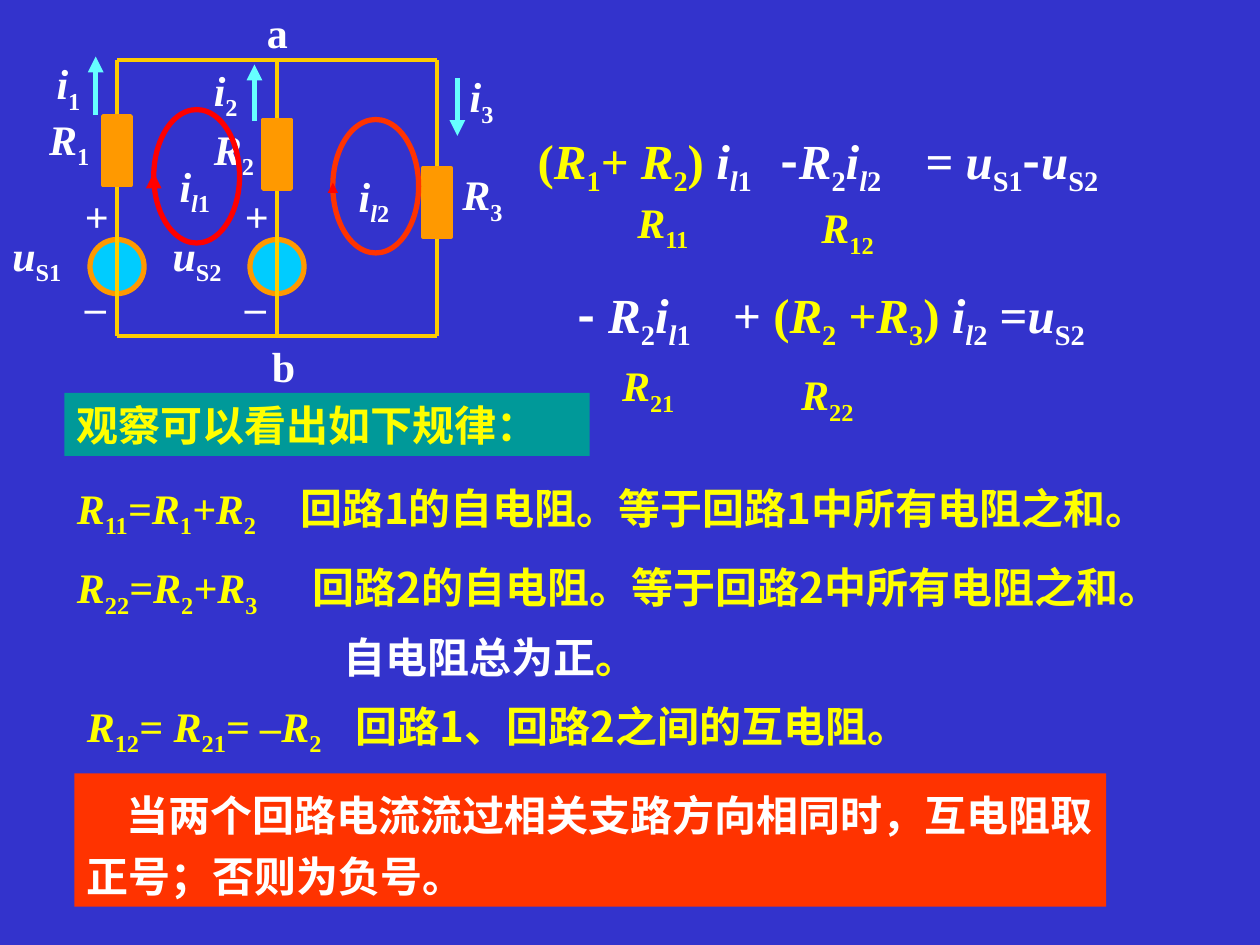
from lxml.etree import SubElement
from pptx import Presentation
from pptx.dml.color import RGBColor
from pptx.enum.shapes import MSO_CONNECTOR as CONN, MSO_SHAPE as SHAPE
from pptx.enum.text import MSO_ANCHOR as ANCHOR, PP_ALIGN as ALIGN
from pptx.oxml.ns import qn
from pptx.util import Cm, Pt

SERIF, CJK = "Times New Roman", "Noto Sans CJK SC"
WHITE, YELLOW, WIRE = "FFFFFF", "FFFF00", "FFCC00"
ORANGE, CYAN, RED = "FF9900", "66FFFF", "FF0000"


def rgb(value):
    return RGBColor.from_string(value)


def write(sp, runs, color=WHITE, size=24, tabs=()):
    """Fill one paragraph; a run is (text, flags, colour), the last two optional.

    Flags: i italic, s subscript, c Chinese font.
    """
    tf = sp.text_frame
    tf.word_wrap = True
    tf.vertical_anchor = ANCHOR.TOP
    p = tf.paragraphs[0]
    p.alignment = ALIGN.LEFT
    if tabs:
        tab_list = SubElement(p._p.get_or_add_pPr(), qn("a:tabLst"))
        for pos in tabs:
            SubElement(tab_list, qn("a:tab"), pos=str(Cm(pos)), algn="l")
    for text, flags, run_color in ((*run, "", None)[:3] if len(run) == 1 else
                                   (*run, None)[:3] for run in runs):
        r = p.add_run()
        r.text = text
        r.font.size, r.font.bold, r.font.italic = Pt(size), True, "i" in flags
        r.font.color.rgb = rgb(run_color or color)
        r.font.name = CJK if "c" in flags else SERIF
        rPr = r._r.get_or_add_rPr()
        SubElement(rPr, qn("a:ea"), typeface=CJK)
        if "s" in flags:
            rPr.set("baseline", "-25000")
    return p


def var(name, sub, color=None):
    return [(name, "i", color), (sub, "s", color)]


def loop_current(sub):
    return [("i", "i"), ("l", "is"), (sub, "s")]


def label(slide, x, y, w, runs, h=1.42, **style):
    box = slide.shapes.add_textbox(Cm(x), Cm(y), Cm(w), Cm(h))
    return write(box, runs, **style)


def shape(slide, kind, x, y, w, h, fill=None, line=None, width=3):
    sp = slide.shapes.add_shape(kind, Cm(x), Cm(y), Cm(w), Cm(h))
    sp.shadow.inherit = False
    if fill:
        sp.fill.solid()
        sp.fill.fore_color.rgb = rgb(fill)
    else:
        sp.fill.background()
    if line:
        sp.line.color.rgb = rgb(line)
        sp.line.width = Pt(width)
    else:
        sp.line.fill.background()
    return sp


def line(slide, x1, y1, x2, y2, color=WIRE, width=2.25, arrow=False):
    c = slide.shapes.add_connector(CONN.STRAIGHT, Cm(x1), Cm(y1), Cm(x2), Cm(y2))
    c.line.color.rgb = rgb(color)
    c.line.width = Pt(width)
    if arrow:
        SubElement(c.line._get_or_add_ln(), qn("a:tailEnd"), type="triangle")
    SubElement(c._element.spPr, qn("a:effectLst"))


def source(slide, x, y, sub, label_x, label_w):
    """Voltage source centred on x, with its signs and its name."""
    d = 1.09
    shape(slide, SHAPE.OVAL, x - d / 2, y, d, d, "00CCFF", ORANGE)
    label(slide, label_x, y - 0.33, label_w, var("u", sub))
    for sign, dy in (("+", -1.12), ("–", 0.7)):
        label(slide, x - 0.9, y + dy, 1.04, [(sign,)], h=1.27)


def branch(slide, x, top, bottom, resistor_y):
    w = 0.56
    line(slide, x, bottom, x, top)
    shape(slide, SHAPE.RECTANGLE, x - w / 2, resistor_y, w, 1.4, ORANGE, ORANGE, 2.25)


def mesh(slide, x, y, sub, color, arrow_width):
    shape(slide, SHAPE.OVAL, x, y, 1.73, 2.69, line=color)
    label(slide, x + 0.27, y + 0.9, 1.24, loop_current(sub))
    line(slide, x, y + 1.4, x, y + 1.27, RED, arrow_width, arrow=True)


def circuit(slide, x, y):
    left, middle, right = (x + 2.36 + 3.225 * i for i in range(3))
    top, bottom = y + 1.21, y + 6.77
    source(slide, left, y + 4.83, "S1", x, 1.98)
    source(slide, middle, y + 4.83, "S2", x + 3.23, 2.39)
    for col, resistor_y in ((left, 2.34), (middle, 2.41), (right, 3.38)):
        branch(slide, col, top, bottom, y + resistor_y)
    line(slide, left, bottom, right, bottom)
    line(slide, left, top, right, top)

    for ax, start, end in ((1.93, 2.31, 1.14), (5.13, 2.44, 1.3), (9.22, 1.57, 2.74)):
        line(slide, x + ax, y + start, x + ax, y + end, CYAN, 3, arrow=True)
    for name, sub, lx, ly in (("i", "1", 0.89, 1.04), ("i", "2", 4.06, 1.17),
                              ("i", "3", 9.22, 1.3), ("R", "1", 0.74, 2.16),
                              ("R", "2", 4.06, 2.36), ("R", "3", 9.07, 3.28)):
        label(slide, x + lx, y + ly, 1.78, var(name, sub))
    for node, lx, ly in (("a", 5.13, 0), ("b", 5.23, 6.73)):
        label(slide, x + lx, y + ly, 0.97, [(node,)], h=1.27)

    mesh(slide, x + 3.1, y + 2.21, "1", RED, 3)
    mesh(slide, x + 6.71, y + 2.41, "2", "FF3300", 0.75)


def resistance_sum(first, plus, second):
    return [("(", "", YELLOW), *var("R", first, YELLOW), (plus, "", YELLOW),
            *var("R", second, YELLOW), (") ", "", YELLOW)]


def equations(slide, x, y):
    loop1 = [*resistance_sum("1", "+ ", "2"), *loop_current("1"), ("\t",),
             ("-", "c"), *var("R", "2"), *loop_current("2"), ("\t",),
             ("= ",), *var("u", "S1"), ("-", "c"), *var("u", "S2")]
    loop2 = [("-", "c"), (" ",), *var("R", "2"), *loop_current("1"), ("\t",),
             ("+ ",), *resistance_sum("2", " +", "3"), *loop_current("2"),
             (" =",), *var("u", "S2")]
    label(slide, x, y, 14.81, loop1, h=1.6, size=28, tabs=(4.9, 7.82))
    label(slide, x + 0.81, y + 3.1, 14, loop2, h=1.6, size=28, tabs=(3.13,))
    for sub, lx, ly in (("11", 2.01, 1.32), ("12", 5.72, 1.43),
                        ("21", 1.7, 4.62), ("22", 5.31, 4.8)):
        label(slide, x + lx, y + ly, 2.39, var("R", sub), color=YELLOW)


def rules(slide, x, y):
    heading = shape(slide, SHAPE.RECTANGLE, x, y, 10.59, 1.27, "009999")
    write(heading, [("观察可以看出如下规律：", "c")], YELLOW)

    r11 = [*var("R", "11"), ("=", "i"), *var("R", "1"), ("+", "i"), *var("R", "2")]
    r22 = [*var("R", "22"), ("=", "i"), *var("R", "2"), ("+", "i"), *var("R", "3")]
    r12 = [*var("R", "12"), ("= ", "i"), *var("R", "21"), ("= –", "i"), *var("R", "2")]
    for dx, dy, formula, tab, meaning in (
            (0, 1.68, r11, 4.5, "回路1的自电阻。等于回路1中所有电阻之和。"),
            (0, 3.28, r22, 4.75, "回路2的自电阻。等于回路2中所有电阻之和。"),
            (0.2, 6.07, r12, 5.42, "回路1、回路2之间的互电阻。")):
        label(slide, x + dx, y + dy, 23.29, [*formula, ("\t",), (meaning, "c")],
              color=YELLOW, tabs=(tab,))
    label(slide, x + 5.38, y + 4.68, 6.6,
          [("自电阻总为正", "c"), ("。", "c", YELLOW)], h=1.27)

    note = shape(slide, SHAPE.RECTANGLE, x + 0.2, y + 7.67, 20.8, 2.69, "FF3300")
    p = write(note, [("当两个回路电流流过相关支路方向相同时，互电阻取正号；否则为负号。", "c")])
    p.line_spacing = 1.2
    p._p.get_or_add_pPr().set("indent", str(Cm(0.8)))


def main():
    prs = Presentation()
    prs.slide_width, prs.slide_height = Cm(25.4), Cm(19.05)
    slide = prs.slides.add_slide(prs.slide_layouts[6])
    slide.background.fill.solid()
    slide.background.fill.fore_color.rgb = rgb("3333CC")
    rules(slide, 1.3, 7.92)
    equations(slide, 10.59, 2.51)
    circuit(slide, 0, 0)
    prs.save("out.pptx")


if __name__ == "__main__":
    main()
